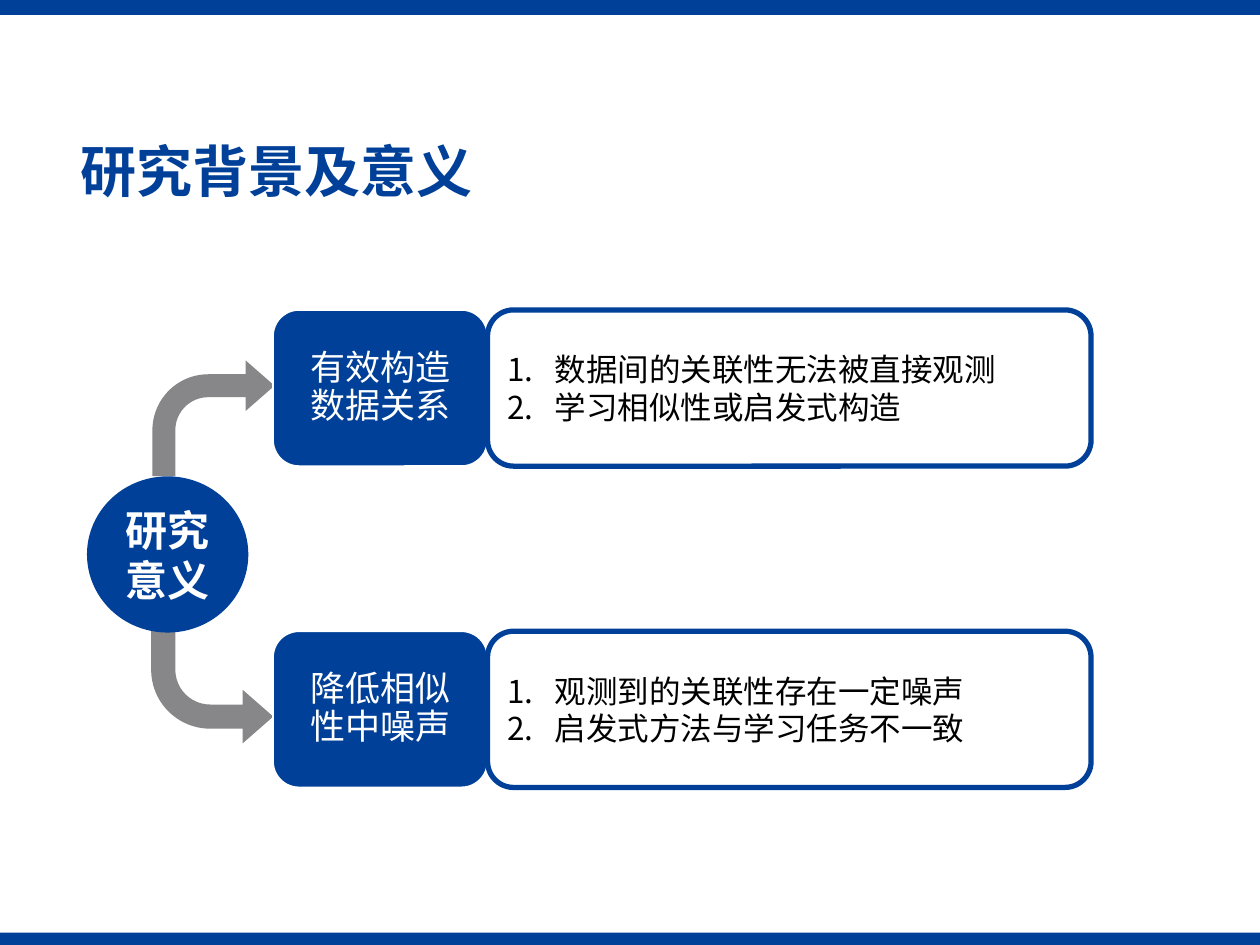
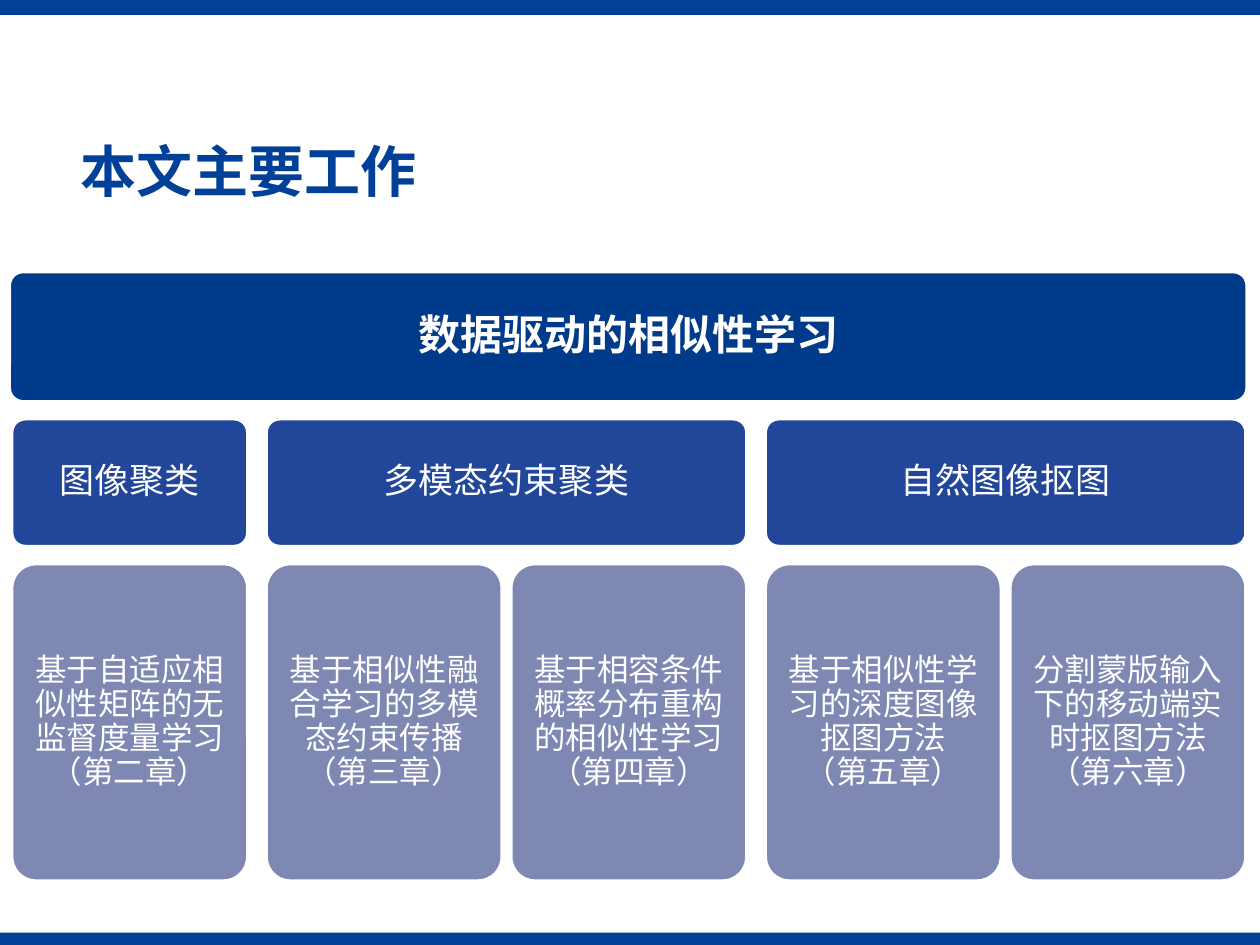
from dataclasses import dataclass

from lxml import etree
from pptx import Presentation
from pptx.dml.color import RGBColor
from pptx.enum import shapes, text
from pptx.oxml import ns
from pptx.util import Pt

# Content
MEANING_TITLE = "研究背景及意义"
MEANING_HUB = "研究意义"
MEANINGS = [
    ("有效构造数据关系", ["数据间的关联性无法被直接观测", "学习相似性或启发式构造"]),
    ("降低相似性中噪声", ["观测到的关联性存在一定噪声", "启发式方法与学习任务不一致"]),
]
WORK_TITLE = "本文主要工作"
WORK_THEME = "数据驱动的相似性学习"
WORK_TOPICS = [
    ("图像聚类", [("基于自适应相似性矩阵的无监督度量学习", "（第二章）")]),
    ("多模态约束聚类", [
        ("基于相似性融合学习的多模态约束传播", "（第三章）"),
        ("基于相容条件概率分布重构的相似性学习", "（第四章）"),
    ]),
    ("自然图像抠图", [
        ("基于相似性学习的深度图像抠图方法", "（第五章）"),
        ("分割蒙版输入下的移动端实时抠图方法", "（第六章）"),
    ]),
]


@dataclass(frozen=True)
class Theme:
    font: str = "Noto Sans CJK SC"
    blue: str = "004098"
    navy: str = "003A8A"
    indigo: str = "22469A"
    lavender: str = "7F87B3"
    grey: str = "878789"
    white: str = "FFFFFF"
    black: str = "000000"
    title_size: int = 32
    heading_size: int = 24
    label_size: int = 20
    body_size: int = 18


THEME = Theme()
SHAPE = shapes.MSO_SHAPE
WIDTH, HEIGHT = 720, 540


# Shared helpers
def add_run(paragraph, words, size, color, bold=False):
    run = paragraph.add_run()
    run.text = words
    run.font.name = THEME.font
    run.font.size = Pt(size)
    run.font.bold = bold
    run.font.color.rgb = RGBColor.from_string(color)
    properties = run.font.fill and run._r.get_or_add_rPr()
    etree.SubElement(properties, ns.qn("a:ea"), typeface=THEME.font)


def add_block(slide, kind, box, fill=None, line=None, line_width=1, adjustments=()):
    shape = slide.shapes.add_shape(kind, *map(Pt, box))
    shape.shadow.inherit = False
    if fill:
        shape.fill.solid()
        shape.fill.fore_color.rgb = RGBColor.from_string(fill)
    else:
        shape.fill.background()
    if line:
        shape.line.color.rgb = RGBColor.from_string(line)
        shape.line.width = Pt(line_width)
    else:
        shape.line.fill.background()
    for index, value in enumerate(adjustments):
        shape.adjustments[index] = value
    return shape


def add_label(shape, lines, size, bold=False, spacing=0.9, inset=None):
    frame = shape.text_frame
    frame.word_wrap = True
    frame.vertical_anchor = text.MSO_ANCHOR.MIDDLE
    if inset:
        horizontal, vertical = map(Pt, inset)
        frame.margin_left = frame.margin_right = horizontal
        frame.margin_top = frame.margin_bottom = vertical
    paragraph = frame.paragraphs[0]
    paragraph.alignment = text.PP_ALIGN.CENTER
    paragraph.line_spacing = spacing
    for index, words in enumerate(lines):
        if index:
            paragraph.add_line_break()
        add_run(paragraph, words, size, THEME.white, bold)


def add_numbered_list(shape, items):
    frame = shape.text_frame
    frame.word_wrap = True
    frame.vertical_anchor = text.MSO_ANCHOR.MIDDLE
    for index, item in enumerate(items):
        paragraph = frame.add_paragraph() if index else frame.paragraphs[0]
        properties = paragraph._p.get_or_add_pPr()
        properties.set("marL", str(Pt(27)))
        properties.set("indent", str(Pt(-27)))
        etree.SubElement(properties, ns.qn("a:buFont"), typeface="+mj-lt")
        etree.SubElement(properties, ns.qn("a:buAutoNum"), type="arabicPeriod")
        paragraph.alignment = text.PP_ALIGN.LEFT
        add_run(paragraph, item, THEME.body_size, THEME.black)


def add_titled_slide(presentation, words):
    slide = presentation.slides.add_slide(presentation.slide_layouts[5])
    title = slide.shapes.title
    title.left, title.top, title.width, title.height = map(Pt, (38.9, 77, 659.5, 45.4))
    frame = title.text_frame
    frame.auto_size = text.MSO_AUTO_SIZE.NONE
    frame.vertical_anchor = text.MSO_ANCHOR.MIDDLE
    paragraph = frame.paragraphs[0]
    paragraph.alignment = text.PP_ALIGN.LEFT
    paragraph.line_spacing = 0.9
    add_run(paragraph, words, THEME.title_size, THEME.blue, bold=True)
    return slide


def put_bands_on_master(presentation, slide):
    """Draw the two bands once, then move them to the slide master."""
    tree = presentation.slide_master.shapes.element
    for index, (top, height) in enumerate([(0, 8.5), (533, 7)]):
        band = add_block(slide, SHAPE.RECTANGLE, (0, top, WIDTH, height), THEME.blue)
        band.element.nvSpPr.cNvPr.set("id", str(100 + index))
        tree.insert(2 + index, band.element)


# Slide 1: a hub with an arrow to each meaning
def build_meaning(slide):
    row_top, row_step, row_height = 177.1, 183.6, 89.3
    label_left, label_width, list_width = 156, 122.6, 344.9
    arrow_shape = (0.198, 0.219, 0.25, 0.483)

    for box, flipped in [((87.1, 205.9, 69.8, 66.2), False), ((86.4, 355, 69.8, 69.8), True)]:
        arrow = add_block(slide, SHAPE.BENT_ARROW, box, THEME.grey, adjustments=arrow_shape)
        if flipped:
            arrow.element.spPr.get_or_add_xfrm().set("flipV", "1")

    hub = add_block(slide, SHAPE.OVAL, (49.7, 272.2, 92.2, 89.3), THEME.blue)
    add_label(hub, [MEANING_HUB], THEME.heading_size, bold=True, spacing=1)

    for row, (name, items) in enumerate(MEANINGS):
        top = row_top + row * row_step
        label = add_block(slide, SHAPE.ROUNDED_RECTANGLE,
                          (label_left, top, label_width, row_height), THEME.blue, THEME.white)
        add_label(label, [name], THEME.label_size, inset=(15, 0))
        panel = add_block(slide, SHAPE.ROUNDED_RECTANGLE,
                          (label_left + label_width, top, list_width, row_height),
                          line=THEME.blue, line_width=3)
        add_numbered_list(panel, items)


# Slide 2: theme, topics and chapters in three tiers
def build_work(slide):
    left, card_width, card_gap, topic_gap = 7.2, 133.9, 5.9, 11.5

    def add_tile(box, fill, lines, size, inset, bold=False):
        tile = add_block(slide, SHAPE.ROUNDED_RECTANGLE, box, fill, THEME.white, adjustments=[0.1])
        add_label(tile, lines, size, bold, inset=(inset, inset))

    add_tile((5.8, 155.7, 706.3, 73.4), THEME.navy, [WORK_THEME],
             THEME.heading_size, 7.2, bold=True)
    for topic, chapters in WORK_TOPICS:
        step = card_width + card_gap
        topic_width = len(chapters) * step - card_gap
        add_tile((left, 239.8, topic_width, 72), THEME.indigo, [topic], THEME.label_size, 6)
        for column, lines in enumerate(chapters):
            add_tile((left + column * step, 322.6, card_width, 180.4),
                     THEME.lavender, lines, THEME.body_size, 5)
        left += topic_width + topic_gap


def main():
    presentation = Presentation()
    presentation.slide_width, presentation.slide_height = Pt(WIDTH), Pt(HEIGHT)
    meaning = add_titled_slide(presentation, MEANING_TITLE)
    put_bands_on_master(presentation, meaning)
    build_meaning(meaning)
    build_work(add_titled_slide(presentation, WORK_TITLE))
    presentation.save("out.pptx")


if __name__ == "__main__":
    main()
